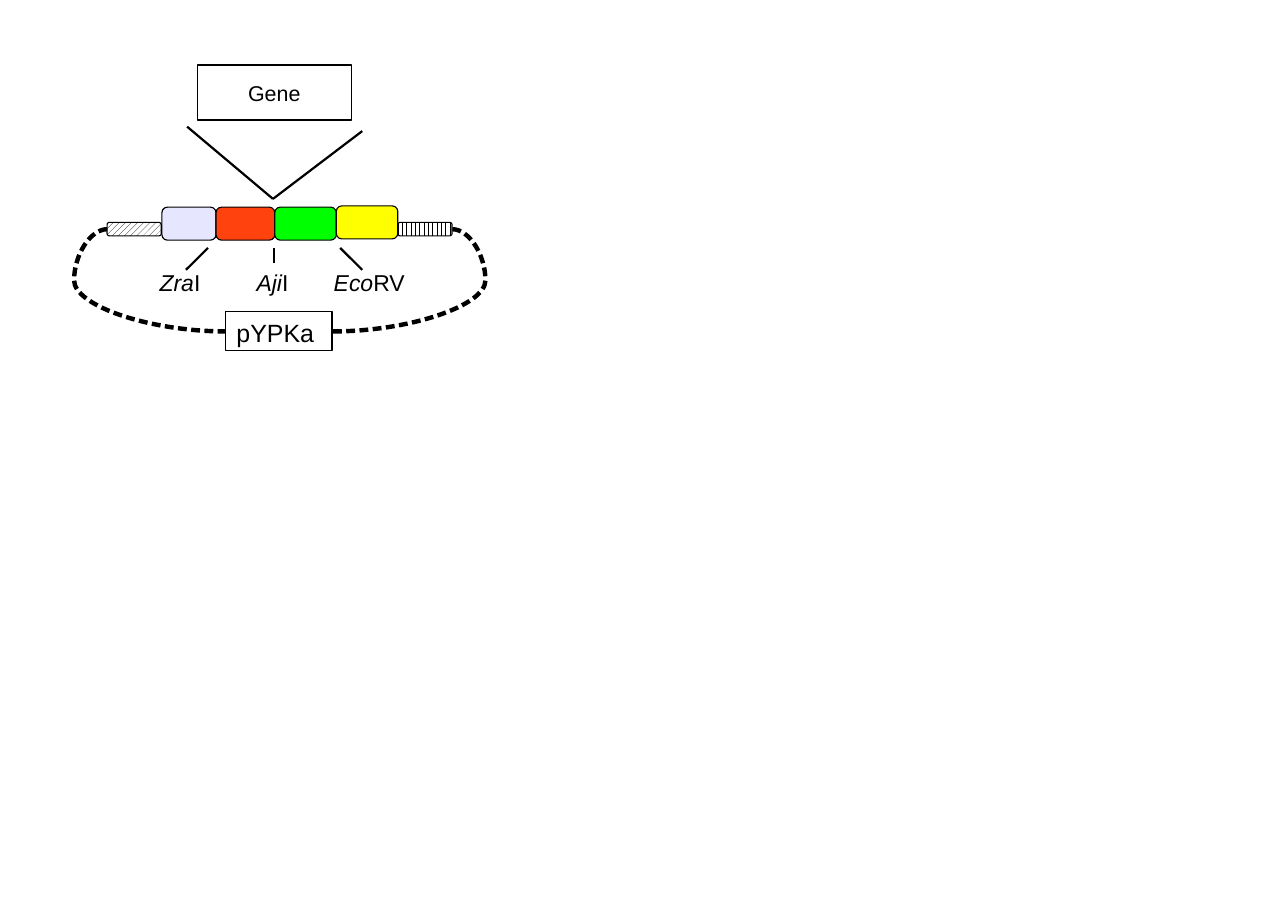
from dataclasses import dataclass
from itertools import accumulate

from lxml import etree
from pptx import Presentation
from pptx import util as u
from pptx.dml import color
from pptx.enum import dml, shapes, text
from pptx.oxml import ns

Pt = u.Pt


@dataclass(frozen=True)
class Theme:
    ink: str = "000000"
    paper: str = "FFFFFF"
    lilac: str = "E6E6FF"
    red: str = "FF420E"
    green: str = "00FF00"
    yellow: str = "FFFF00"
    font: str = "Arial"
    gene: float = 14
    site: float = 15
    name: float = 16.3
    hair: float = 0
    thin: float = 1.45
    thick: float = 2.89


@dataclass(frozen=True)
class Box:
    x: float
    y: float
    w: float
    h: float

    def rect(self) -> tuple:
        return Pt(self.x), Pt(self.y), Pt(self.w), Pt(self.h)


@dataclass(frozen=True)
class Line:
    x1: float
    y1: float
    x2: float
    y2: float


@dataclass(frozen=True)
class Site:
    gene: str
    tail: str
    box: Box
    tick: Line


T = Theme()
FRAME = {
    "margin_left": Pt(7.2), "margin_right": Pt(7.2),
    "margin_top": Pt(3.6), "margin_bottom": Pt(3.6),
}

# Coloured blocks stand side by side: colour, width, top
BLOCKS = [(T.lilac, 35.4, 135.4), (T.red, 38.4, 135.4),
          (T.green, 40.2, 135.4), (T.yellow, 40.2, 134.6)]
LEFT = 105.8

# Hatched flanks
FLANKS = [(Box(70, 145.4, 35.4, 8.8), dml.MSO_PATTERN.WIDE_UPWARD_DIAGONAL),
          (Box(260, 145.4, 35.4, 8.8), dml.MSO_PATTERN.VERTICAL)]

# Cutting sites
SITES = [
    Site("Zra", "I", Box(97.2, 172.1, 49, 23.8), Line(121.5, 176.4, 136, 162)),
    Site("Aji", "I", Box(160.6, 172.1, 39.6, 23.8), Line(179, 172.1, 179, 162)),
    Site("Eco", "RV", Box(211, 172.1, 66.2, 30.2), Line(236.7, 176.4, 222.3, 162)),
]

# Insertion funnel and plasmid backbone
FUNNEL = [Line(122.3, 82.8, 178.4, 130), Line(236.7, 85.7, 178.4, 130)]
ARCS = [Line(70, 149.8, 147.4, 216.6), Line(295.7, 149.8, 217.4, 216.6)]
BULGE = 21.6


def rgb(code: str) -> color.RGBColor:
    return color.RGBColor.from_string(code)


def put(obj, vals: dict) -> None:
    for key, val in vals.items():
        setattr(obj, key, val)


def block(page, kind, box: Box):
    shape = page.shapes.add_shape(kind, *box.rect())
    shape.shadow.inherit = False
    shape.line.color.rgb = rgb(T.ink)
    shape.line.width = Pt(T.hair)
    return shape


def link(page, kind, line: Line, width: float):
    ends = (Pt(v) for v in (line.x1, line.y1, line.x2, line.y2))
    wire = page.shapes.add_connector(kind, *ends)
    wire.line.color.rgb = rgb(T.ink)
    wire.line.width = Pt(width)
    etree.SubElement(wire._element.spPr, ns.qn("a:effectLst"))
    return wire


def write(shape, runs: list, size: float, align, frame: dict) -> None:
    body = shape.text_frame
    put(body, FRAME | frame)
    para = body.paragraphs[0]
    para.alignment = align
    for words, slant in runs:
        run = para.add_run()
        run.text = words
        put(run.font, {"name": T.font, "size": Pt(size), "italic": slant})
        run.font.color.rgb = rgb(T.ink)


def arc(page, line: Line) -> None:
    wire = link(page, shapes.MSO_CONNECTOR.CURVE, line, T.thick)
    props = wire._element.spPr
    bend = etree.SubElement(props.find(".//" + ns.qn("a:avLst")), ns.qn("a:gd"))
    share = -BULGE / abs(line.x2 - line.x1)
    bend.set("name", "adj1")
    bend.set("fmla", f"val {round(share * 100000)}")
    dash = etree.SubElement(props.find(ns.qn("a:ln")), ns.qn("a:custDash"))
    etree.SubElement(dash, ns.qn("a:ds"), d="200000", sp="100000")


def main() -> None:
    deck = Presentation()
    put(deck, {"slide_width": Pt(841.68), "slide_height": Pt(595.44)})
    page = deck.slides.add_slide(deck.slide_layouts[6])
    rect = shapes.MSO_SHAPE.RECTANGLE
    round_box = shapes.MSO_SHAPE.ROUNDED_RECTANGLE
    plain = shapes.MSO_CONNECTOR.STRAIGHT

    # Blocks and flanks
    starts = accumulate((w for _, w, _ in BLOCKS), initial=LEFT)
    for x, (hue, wide, top) in zip(starts, BLOCKS):
        part = block(page, round_box, Box(x, top, wide, 21.6))
        part.fill.solid()
        part.fill.fore_color.rgb = rgb(hue)
    for box, hatch in FLANKS:
        fill = block(page, round_box, box).fill
        fill.patterned()
        fill.pattern = hatch
        fill.fore_color.rgb = rgb(T.ink)
        fill.back_color.rgb = rgb(T.paper)

    # Sites with their ticks, and the funnel
    for site in SITES:
        label = page.shapes.add_textbox(*site.box.rect())
        write(label, [(site.gene, True), (site.tail, False)], T.site,
              text.PP_ALIGN.LEFT,
              {"word_wrap": True, "auto_size": text.MSO_AUTO_SIZE.SHAPE_TO_FIT_TEXT})
    for line in FUNNEL + [site.tick for site in SITES]:
        link(page, plain, line, T.thin)

    # Backbone
    for line in ARCS:
        arc(page, line)

    # Named boxes
    for words, size, box, align, anchor in (
        ("pYPKa", T.name, Box(147.4, 203.8, 69.6, 25.2),
         text.PP_ALIGN.LEFT, text.MSO_ANCHOR.TOP),
        ("Gene", T.gene, Box(128.9, 42.5, 100.8, 36),
         text.PP_ALIGN.CENTER, text.MSO_ANCHOR.MIDDLE),
    ):
        shape = block(page, rect, box)
        shape.fill.background()
        write(shape, [(words, False)], size, align,
              {"word_wrap": False, "vertical_anchor": anchor})

    deck.save("out.pptx")


if __name__ == "__main__":
    main()
